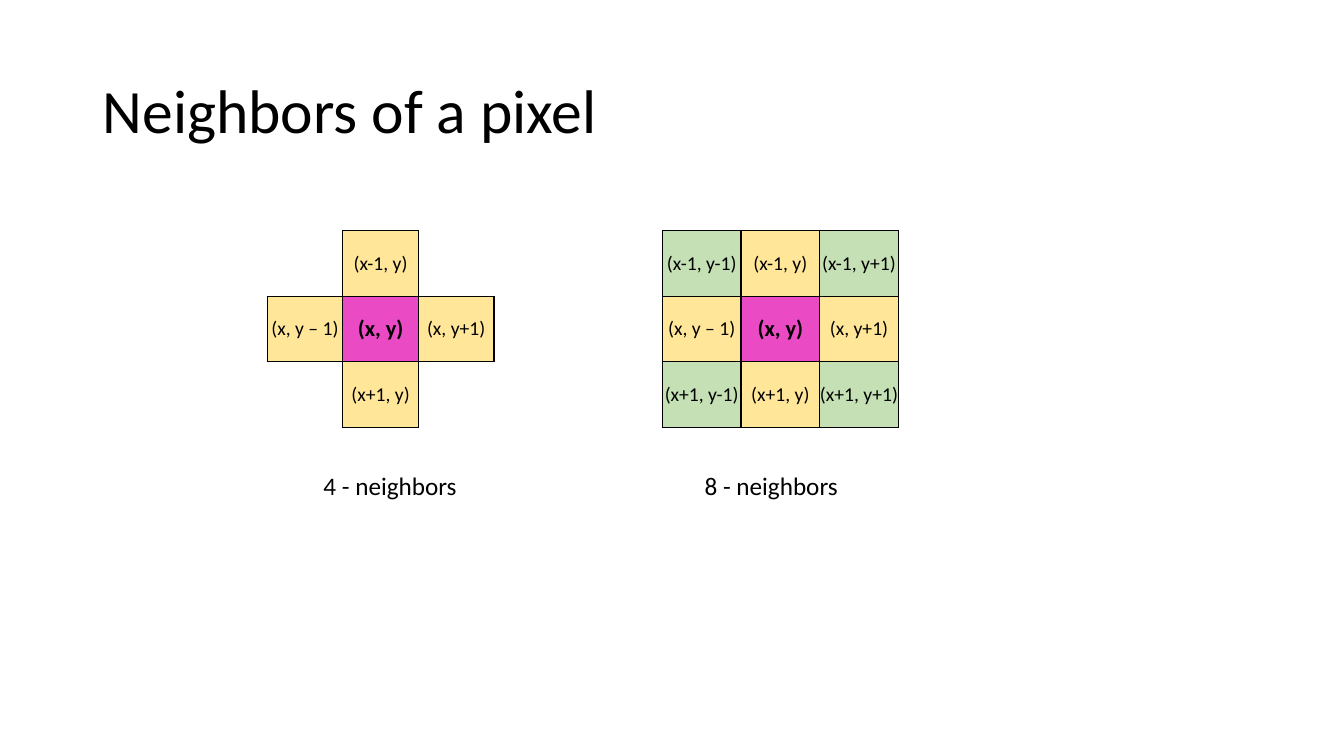
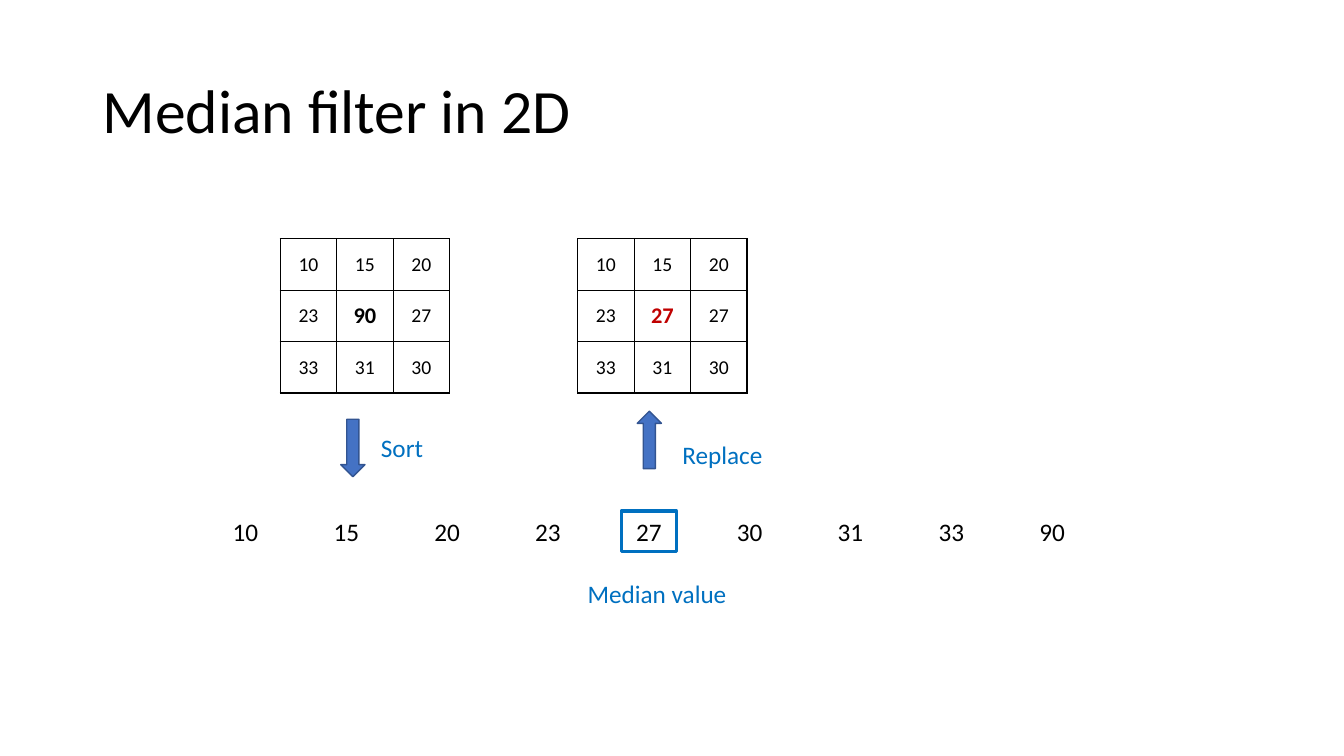
from lxml.etree import SubElement
from pptx import Presentation
from pptx.dml.color import RGBColor
from pptx.enum.shapes import MSO_SHAPE as SHAPE
from pptx.enum.text import MSO_ANCHOR as ANCHOR, PP_ALIGN as ALIGN
from pptx.oxml.ns import qn
from pptx.util import Inches, Pt

FONT = "Calibri"
BLACK, WHITE, BLUE, RED = "000000", "FFFFFF", "0070C0", "C00000"
YELLOW, GREEN, PINK = "FFE699", "C5E0B4", "EA4AC3"
ARROW_FILL, ARROW_LINE = "4472C4", "325491"
NO_TABLE_STYLE = "{2D5ABB26-0587-4C30-8999-92F81FD0307C}"
LABEL_HEIGHT = 0.4
SIDES = {"L": (0, -1), "R": (0, 1), "T": (-1, 0), "B": (1, 0)}

EIGHT_NEIGHBORS = [
    ["(x-1, y-1)", "(x-1, y)", "(x-1, y+1)"],
    ["(x, y – 1)", "(x, y)", "(x, y+1)"],
    ["(x+1, y-1)", "(x+1, y)", "(x+1, y+1)"],
]
FOUR_NEIGHBORS = [
    [text if 1 in (row, col) else "" for col, text in enumerate(texts)]
    for row, texts in enumerate(EIGHT_NEIGHBORS)
]
# Cells, left of grid, column width, caption, left of caption
NEIGHBORHOODS = [
    (FOUR_NEIGHBORS, 2.65, 0.75, "4 - neighbors", 3.11),
    (EIGHT_NEIGHBORS, 6.57, 0.78, "8 - neighbors", 6.89),
]

NOISY = [[10, 15, 20], [23, 90, 27], [33, 31, 30]]
SORTED = sorted(value for row in NOISY for value in row)
MEDIAN = SORTED[len(SORTED) // 2]
FILTERED = [NOISY[0], [23, MEDIAN, 27], NOISY[2]]
# Cells, left of grid, colour of the centre value
WINDOWS = [(NOISY, 2.78, BLACK), (FILTERED, 5.73, RED)]
# Arrow shape, its left and top, label, its left, top and width
STEPS = [
    (SHAPE.DOWN_ARROW, 3.38, 4.16, "Sort", 3.68, 4.24, 0.62),
    (SHAPE.UP_ARROW, 6.32, 4.08, "Replace", 6.67, 4.31, 1.01),
]
SORTED_TOP = 5.07


def rgb(color):
    return RGBColor.from_string(color)


def write(frame, text, size=18, color=BLACK, bold=False, align=ALIGN.LEFT,
          spacing=None, tab_stops=0):
    paragraph = frame.paragraphs[0]
    paragraph.text = text
    paragraph.alignment = align
    if spacing:
        paragraph.line_spacing = spacing
    if tab_stops:
        tabs = SubElement(paragraph._p.get_or_add_pPr(), qn("a:tabLst"))
        for stop in range(1, tab_stops + 1):
            SubElement(tabs, qn("a:tab"), pos=str(Inches(stop)), algn="l")
    font = paragraph.runs[0].font
    font.name, font.size, font.bold = FONT, Pt(size), bold
    font.color.rgb = rgb(color)


def add_text(slide, text, left, top, width, height=LABEL_HEIGHT, wrap=False,
             anchor=ANCHOR.TOP, **style):
    box = slide.shapes.add_textbox(*map(Inches, (left, top, width, height)))
    box.text_frame.word_wrap = wrap
    box.text_frame.vertical_anchor = anchor
    write(box.text_frame, text, **style)


def add_shape(slide, kind, left, top, width, height, line, weight, fill=None):
    shape = slide.shapes.add_shape(
        kind, *map(Inches, (left, top, width, height)))
    shape.shadow.inherit = False
    if fill:
        shape.fill.solid()
        shape.fill.fore_color.rgb = rgb(fill)
    else:
        shape.fill.background()
    shape.line.color.rgb = rgb(line)
    shape.line.width = Pt(weight)


def add_border(cell, side, visible):
    line = SubElement(cell._tc.get_or_add_tcPr(), qn(f"a:ln{side}"),
                      w=str(Pt(1)))
    if visible:
        solid = SubElement(line, qn("a:solidFill"))
        SubElement(solid, qn("a:srgbClr"), val=BLACK)
    else:
        SubElement(line, qn("a:noFill"))


def add_grid(slide, cells, left, top, col_width, row_height, fill_of,
             centre_color=BLACK):
    """Draw a 3 x 3 pixel grid; an empty text leaves its cell open."""
    size = len(cells)
    table = slide.shapes.add_table(
        size, size, Inches(left), Inches(top),
        Inches(col_width * size), Inches(row_height * size)).table
    table.first_row = table.horz_banding = False
    table._tbl.tblPr.find(qn("a:tableStyleId")).text = NO_TABLE_STYLE
    filled = {(row, col) for row in range(size) for col in range(size)
              if cells[row][col] != ""}
    for row in range(size):
        for col in range(size):
            cell = table.cell(row, col)
            for side, (down, across) in SIDES.items():
                edge = {(row, col), (row + down, col + across)}
                add_border(cell, side, bool(edge & filled))
            if (row, col) not in filled:
                cell.fill.background()
                continue
            cell.fill.solid()
            cell.fill.fore_color.rgb = rgb(fill_of(row, col))
            cell.vertical_anchor = ANCHOR.MIDDLE
            cell.margin_left = cell.margin_right = 0
            cell.margin_top = cell.margin_bottom = 0
            centre = row == col == 1
            write(cell.text_frame, str(cells[row][col]), bold=centre,
                  size=16 if centre else 14, align=ALIGN.CENTER,
                  color=centre_color if centre else BLACK)


def neighbor_fill(row, col):
    """Pink centre, yellow direct neighbors, green diagonal neighbors."""
    return (PINK, YELLOW, GREEN)[abs(row - 1) + abs(col - 1)]


def window_fill(row, col):
    return WHITE


def add_slide(deck, title):
    slide = deck.slides.add_slide(deck.slide_layouts[6])
    add_text(slide, title, 0.92, 0.4, 11.5, 1.45, wrap=True,
             anchor=ANCHOR.MIDDLE, size=44, spacing=0.9)
    return slide


def add_neighbors(deck):
    slide = add_slide(deck, "Neighbors of a pixel")
    for cells, left, col_width, caption, caption_left in NEIGHBORHOODS:
        add_grid(slide, cells, left, 2.29, col_width, 0.65, neighbor_fill)
        add_text(slide, caption, caption_left, 4.62, 1.54)


def add_median_filter(deck):
    slide = add_slide(deck, "Median filter in 2D")
    for cells, left, centre_color in WINDOWS:
        add_grid(slide, cells, left, 2.37, 0.56, 0.51, window_fill,
                 centre_color)
    for arrow, left, top, label, label_left, label_top, width in STEPS:
        add_shape(slide, arrow, left, top, 0.24, 0.57, ARROW_LINE, 1,
                  ARROW_FILL)
        add_text(slide, label, label_left, label_top, width, color=BLUE)
    add_text(slide, "\t".join(map(str, SORTED)), 2.21, SORTED_TOP, 8.62,
             wrap=True, tab_stops=len(SORTED) - 1)
    add_shape(slide, SHAPE.RECTANGLE, 6.16, SORTED_TOP, 0.55, LABEL_HEIGHT,
              BLUE, 2.25)
    add_text(slide, "Median value", 5.73, 5.69, 1.6, color=BLUE)


def main():
    deck = Presentation()
    deck.slide_width, deck.slide_height = Inches(13.33), Inches(7.5)
    add_neighbors(deck)
    add_median_filter(deck)
    deck.save("out.pptx")


if __name__ == "__main__":
    main()
